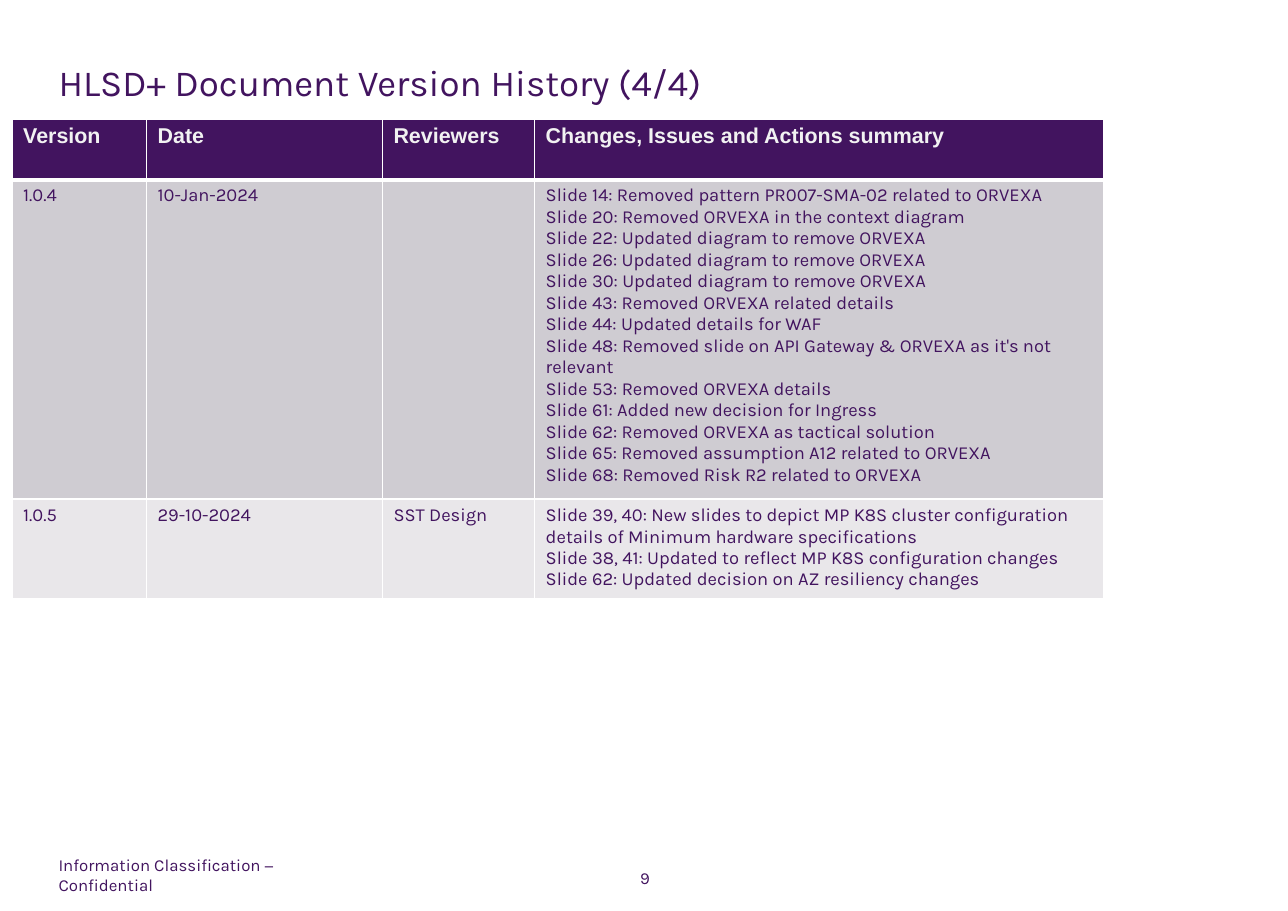
"""Build the document version history slide."""
from dataclasses import dataclass

from lxml.etree import SubElement as Sub
from pptx import Presentation
from pptx.dml.color import RGBColor
from pptx.enum.text import MSO_ANCHOR as Anchor, PP_ALIGN as Align
from pptx.oxml import parse_xml
from pptx.oxml.ns import nsdecls, qn
from pptx.slide import Slide
from pptx.table import _Cell as Cell
from pptx.text.text import TextFrame as Frame
from pptx.util import Cm, Pt

PLUM = RGBColor(0x42, 0x14, 0x5F)
PALE = RGBColor(0xF2, 0xF2, 0xF2)
MAUVE = RGBColor(0xCF, 0xCC, 0xD2)
MIST = RGBColor(0xE9, 0xE7, 0xEA)
WHITE = RGBColor(0xFF, 0xFF, 0xFF)

HEAD = {"name": "Arial", "size": Pt(14), "bold": True}
BODY = {"name": "Karla", "size": Pt(12), "bold": False}
TITLE = {"name": "Karla", "size": Pt(24)}
FOOT = {"name": "Karla", "size": Pt(11)}


@dataclass
class Label:
    """A text box with its place in centimetres."""
    text: str
    left: float
    top: float
    width: float
    height: float
    style: dict
    anchor: Anchor = Anchor.MIDDLE
    align: Align = Align.LEFT
    wrap: bool = False


@dataclass
class Row:
    """A table row with its look and border widths."""
    cells: list[str]
    height: float
    fill: RGBColor
    ink: RGBColor
    style: dict
    above: float = 1
    below: float = 1


LABELS = [
    Label("Information Classification − Confidential", 1.35, 19.79, 6.91, 0.76, FOOT),
    Label("9", 14.05, 19.86, 1.65, 0.76, FOOT, align=Align.CENTER, wrap=True),
    Label("HLSD+ Document Version History (4/4)", 1.35, 1.37, 23.8, 1.5, TITLE, Anchor.TOP),
]

REMOVED = """Slide 14: Removed pattern PR007-SMA-02 related to ORVEXA
Slide 20: Removed ORVEXA in the context diagram
Slide 22: Updated diagram to remove ORVEXA
Slide 26: Updated diagram to remove ORVEXA
Slide 30: Updated diagram to remove ORVEXA
Slide 43: Removed ORVEXA related details
Slide 44: Updated details for WAF
Slide 48: Removed slide on API Gateway & ORVEXA as it's not relevant
Slide 53: Removed ORVEXA details
Slide 61: Added new decision for Ingress
Slide 62: Removed ORVEXA as tactical solution
Slide 65: Removed assumption A12 related to ORVEXA
Slide 68: Removed Risk R2 related to ORVEXA"""

UPDATED = """Slide 39, 40: New slides to depict MP K8S cluster configuration \
details of Minimum hardware specifications
Slide 38, 41: Updated to reflect MP K8S configuration changes
Slide 62: Updated decision on AZ resiliency changes"""

COLS = [3.1, 5.44, 3.51, 13.13]
ROWS = [
    Row(["Version", "Date", "Reviewers", "Changes, Issues and Actions summary"],
        1.4, PLUM, PALE, HEAD, below=3),
    Row(["1.0.4", "10-Jan-2024", "", REMOVED], 7.18, MAUVE, PLUM, BODY, above=3),
    Row(["1.0.5", "29-10-2024", "SST Design", UPDATED], 2.2, MIST, PLUM, BODY),
]


def write(frame: Frame, text: str, style: dict, ink: RGBColor, align: Align) -> None:
    """Fill a text frame and format each paragraph."""
    frame.text = text
    for para in frame.paragraphs:
        para.alignment = align
        para.font.color.rgb = ink
        for key, value in style.items():
            setattr(para.font, key, value)


def add_label(slide: Slide, label: Label) -> None:
    """Place one text box without margins."""
    place = map(Cm, (label.left, label.top, label.width, label.height))
    frame = slide.shapes.add_textbox(*place).text_frame
    write(frame, label.text, label.style, PLUM, label.align)
    look = {"word_wrap": label.wrap, "vertical_anchor": label.anchor}
    look |= {f"margin_{side}": 0 for side in ("left", "top", "right", "bottom")}
    for key, value in look.items():
        setattr(frame, key, value)


def add_edges(cell: Cell, above: float, below: float) -> None:
    """Draw the white borders of a cell."""
    props = cell._tc.get_or_add_tcPr()
    sides = {"lnL": 1, "lnR": 1, "lnT": above, "lnB": below}
    for spot, (side, width) in enumerate(sides.items()):
        edge = parse_xml(f'<a:{side} {nsdecls("a")} w="{Pt(width)}"/>')
        fill = Sub(edge, qn("a:solidFill"))
        Sub(fill, qn("a:srgbClr"), val=str(WHITE))
        props.insert(spot, edge)


def add_grid(slide: Slide, rows: list[Row], cols: list[float]) -> None:
    """Draw the version table."""
    size = Cm(sum(cols)), Cm(sum(row.height for row in rows))
    table = slide.shapes.add_table(len(rows), len(cols), Cm(0.28), Cm(2.74), *size).table
    table.horz_banding = False
    for col, width in zip(table.columns, cols):
        col.width = Cm(width)
    for line, row in zip(table.rows, rows):
        line.height = Cm(row.height)
        for cell, text in zip(line.cells, row.cells):
            write(cell.text_frame, text, row.style, row.ink, Align.LEFT)
            cell.fill.solid()
            cell.fill.fore_color.rgb = row.fill
            add_edges(cell, row.above, row.below)


def main() -> None:
    """Build and save the deck."""
    deck = Presentation()
    deck.slide_width, deck.slide_height = Cm(29.7), Cm(21)
    slide = deck.slides.add_slide(deck.slide_layouts[6])
    for label in LABELS:
        add_label(slide, label)
    add_grid(slide, ROWS, COLS)
    deck.save("out.pptx")


if __name__ == "__main__":
    main()
